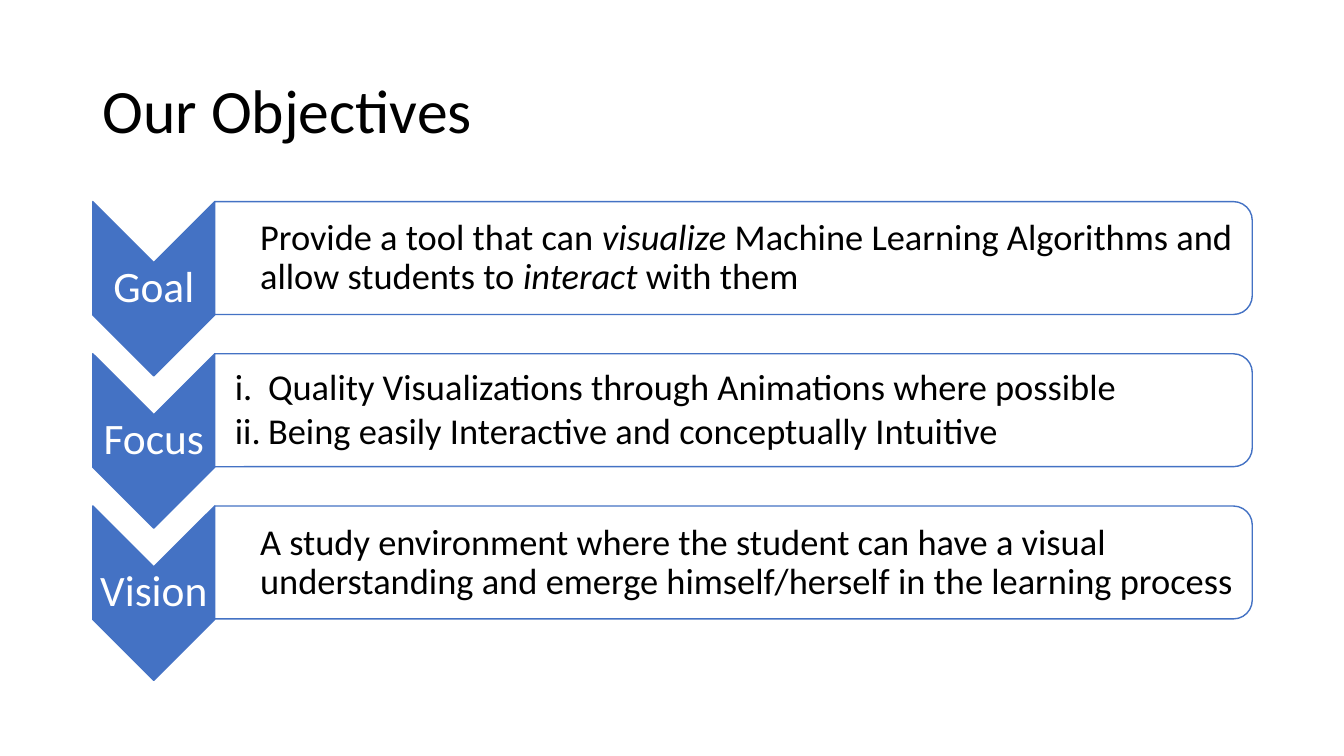
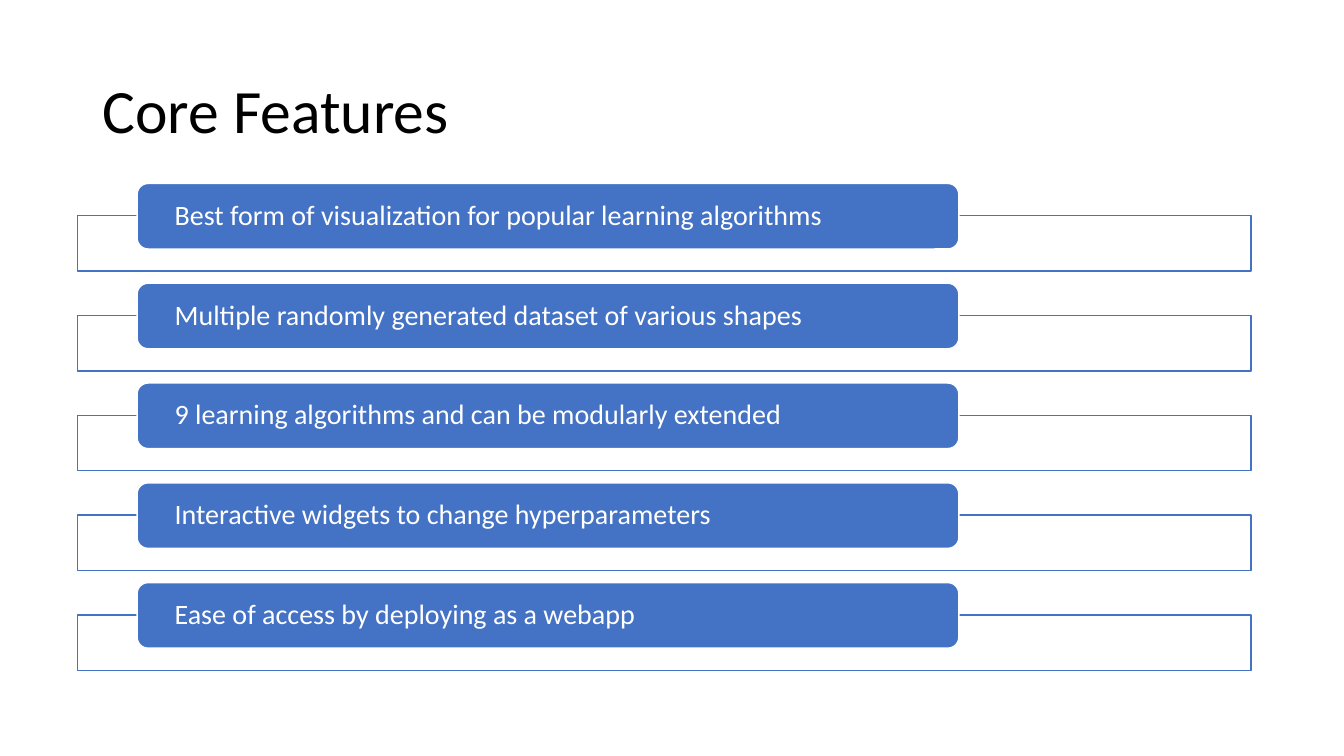
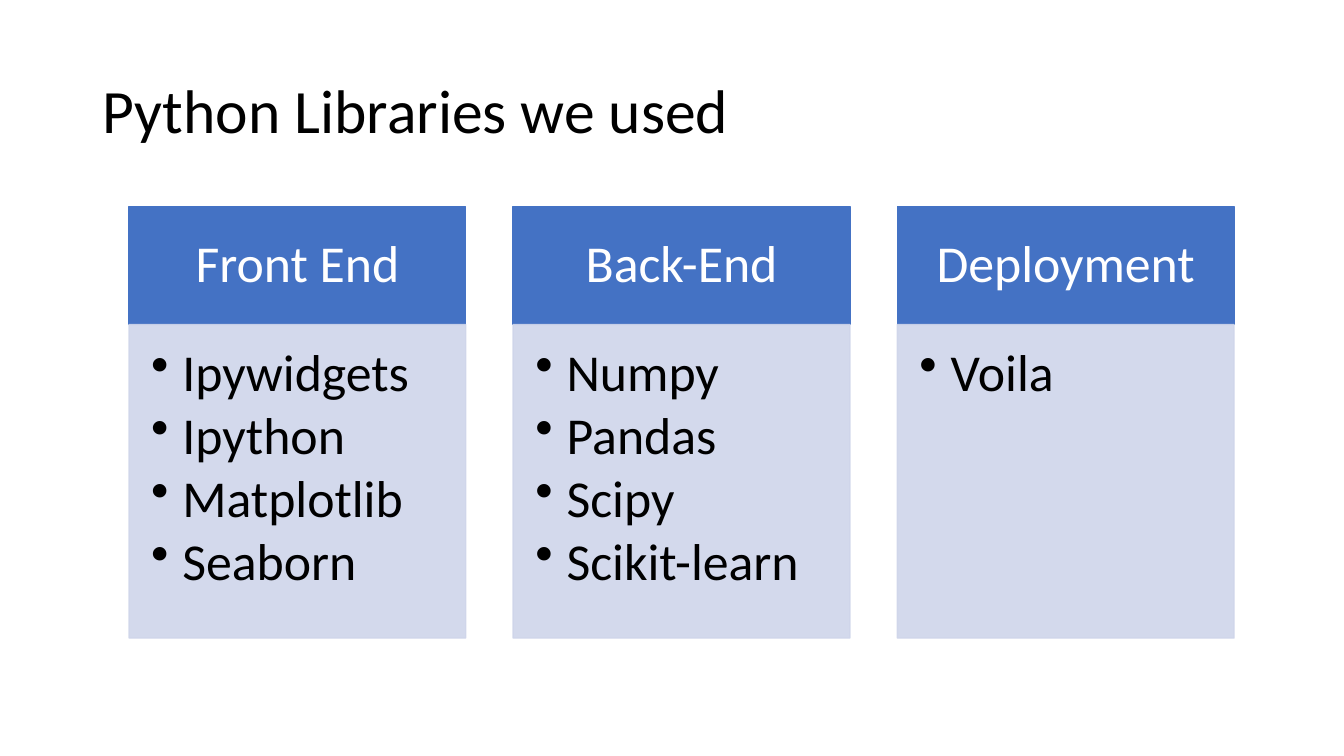
from dataclasses import dataclass

from lxml import etree
from pptx import Presentation
from pptx.dml.color import RGBColor
from pptx.enum.shapes import MSO_SHAPE
from pptx.enum.text import MSO_ANCHOR, PP_ALIGN
from pptx.oxml.ns import qn
from pptx.shapes.autoshape import Shape
from pptx.slide import Slide
from pptx.util import Inches, Pt

CHEVRON = MSO_SHAPE.CHEVRON
TAB_CARD = MSO_SHAPE.ROUND_2_SAME_RECTANGLE
RECTANGLE = MSO_SHAPE.RECTANGLE
ROUNDED = MSO_SHAPE.ROUNDED_RECTANGLE
TOP, MIDDLE = MSO_ANCHOR.TOP, MSO_ANCHOR.MIDDLE
LEFT, CENTER = PP_ALIGN.LEFT, PP_ALIGN.CENTER

FONT = "Calibri"
BLUE, PALE, WHITE, BLACK = "4472C4", "CFD5EA", "FFFFFF", "000000"


@dataclass(frozen=True)
class Box:
    left: float
    top: float
    width: float
    height: float


@dataclass(frozen=True)
class Span:
    text: str
    italic: bool = False


@dataclass(frozen=True)
class TextStyle:
    size: float
    color: str = BLACK
    align: PP_ALIGN = LEFT
    anchor: MSO_ANCHOR = MIDDLE
    margins: tuple[float, float, float, float] = (0.1, 0.05, 0.1, 0.05)
    indent: float = 0
    bullet: tuple[str, str, str] | None = None  # tag, attribute, value
    space_after: float = 0


@dataclass(frozen=True)
class Objective:
    label: str
    paragraphs: list[list[Span]]
    style: TextStyle


@dataclass(frozen=True)
class LibraryGroup:
    heading: str
    libraries: list[str]


TITLE = TextStyle(44)
LABEL = TextStyle(31, WHITE, CENTER, margins=(0.02,) * 4)
STATEMENT = TextStyle(26, margins=(0.2, 0.02, 0.02, 0.02), indent=0.25)
NUMBERED = TextStyle(26, margins=(0.2, 0.02, 0.02, 0.02), indent=0.33,
                     bullet=("a:buAutoNum", "type", "romanLcPeriod"), space_after=4)
FEATURE = TextStyle(20, WHITE, margins=(0.34, 0, 0.34, 0))
HEADING = TextStyle(37, WHITE, CENTER, margins=(0.29, 0.16, 0.29, 0.16))
LIBRARY = TextStyle(37, anchor=TOP, margins=(0.22, 0.22, 0.29, 0.32), indent=0.31,
                    bullet=("a:buChar", "char", "•"), space_after=5)

OBJECTIVES = [
    Objective("Goal", [[
        Span("Provide a tool that can "),
        Span("visualize ", italic=True),
        Span("Machine Learning Algorithms and allow students to "),
        Span("interact", italic=True),
        Span(" with them"),
    ]], STATEMENT),
    Objective("Focus", [
        [Span("Quality Visualizations through Animations where possible")],
        [Span("Being easily Interactive and conceptually Intuitive")],
    ], NUMBERED),
    Objective("Vision", [[
        Span("A study environment where the student can have a visual understanding "
             "and emerge himself/herself in the learning process"),
    ]], STATEMENT),
]
FEATURES = [
    "Best form of visualization for popular learning algorithms",
    "Multiple randomly generated dataset of various shapes",
    "9 learning algorithms and can be modularly extended",
    "Interactive widgets to change hyperparameters",
    "Ease of access by deploying as a webapp",
]
LIBRARY_GROUPS = [
    LibraryGroup("Front End", ["Ipywidgets", "Ipython", "Matplotlib", "Seaborn"]),
    LibraryGroup("Back-End", ["Numpy", "Pandas", "Scipy", "Scikit-learn"]),
    LibraryGroup("Deployment", ["Voila"]),
]


def rgb(color: str) -> RGBColor:
    return RGBColor.from_string(color)


def place(box: Box) -> tuple[int, int, int, int]:
    return Inches(box.left), Inches(box.top), Inches(box.width), Inches(box.height)


def write(shape: Shape, paragraphs: list[list[Span]], style: TextStyle) -> None:
    frame = shape.text_frame
    frame.word_wrap = True
    frame.vertical_anchor = style.anchor
    (frame.margin_left, frame.margin_top,
     frame.margin_right, frame.margin_bottom) = map(Inches, style.margins)
    for index, spans in enumerate(paragraphs):
        paragraph = frame.add_paragraph() if index else frame.paragraphs[0]
        properties = paragraph._p.get_or_add_pPr()
        if style.indent:
            properties.set("marL", str(Inches(style.indent)))
        if style.bullet:
            tag, attribute, value = style.bullet
            properties.set("indent", str(-Inches(style.indent)))
            etree.SubElement(properties, qn(tag)).set(attribute, value)
        paragraph.alignment = style.align
        paragraph.line_spacing = 0.9
        paragraph.space_after = Pt(style.space_after)
        paragraph.font.name = FONT
        paragraph.font.size = Pt(style.size)
        paragraph.font.color.rgb = rgb(style.color)
        for span in spans:
            run = paragraph.add_run()
            run.text = span.text
            if span.italic:
                run.font.italic = True


def add_text(slide: Slide, box: Box, paragraphs: list[list[Span]], style: TextStyle) -> None:
    write(slide.shapes.add_textbox(*place(box)), paragraphs, style)


def add_block(slide: Slide, kind: MSO_SHAPE, box: Box, fill: str, line: str) -> Shape:
    shape = slide.shapes.add_shape(kind, *place(box))
    shape.shadow.inherit = False
    shape.fill.solid()
    shape.fill.fore_color.rgb = rgb(fill)
    shape.line.color.rgb = rgb(line)
    shape.line.width = Pt(1)
    return shape


def add_turned_block(slide: Slide, kind: MSO_SHAPE, seen: Box, fill: str) -> None:
    """Add a shape turned a quarter clockwise so that it fills the box as seen."""
    shift = (seen.width - seen.height) / 2
    unturned = Box(seen.left + shift, seen.top - shift, seen.height, seen.width)
    add_block(slide, kind, unturned, fill, BLUE).rotation = 90


def set_opacity(shape: Shape, percent: int) -> None:
    for color in shape._element.spPr.iter(qn("a:srgbClr")):
        etree.SubElement(color, qn("a:alpha")).set("val", str(percent * 1000))


def add_titled_slide(presentation: Presentation, title: str) -> Slide:
    slide = presentation.slides.add_slide(presentation.slide_layouts[6])
    add_text(slide, Box(0.92, 0.4, 11.5, 1.45), [[Span(title)]], TITLE)
    return slide


def build_objectives(presentation: Presentation) -> None:
    slide = add_titled_slide(presentation, "Our Objectives")
    for row, objective in enumerate(OBJECTIVES):
        top = 2 + row * 1.51
        add_turned_block(slide, CHEVRON, Box(0.92, top, 1.21, 1.73), BLUE)
        add_text(slide, Box(0.92, top + 0.6, 1.21, 0.52), [[Span(objective.label)]], LABEL)
        add_turned_block(slide, TAB_CARD, Box(2.13, top, 10.29, 1.12), WHITE)
        add_text(slide, Box(2.13, top + 0.06, 10.24, 1.01),
                 objective.paragraphs, objective.style)


def build_features(presentation: Presentation) -> None:
    slide = add_titled_slide(presentation, "Core Features")
    for row, feature in enumerate(FEATURES):
        top = 1.82 + row * 0.99
        add_block(slide, RECTANGLE, Box(0.77, top + 0.32, 11.64, 0.55), WHITE, BLUE)
        banner = add_block(slide, ROUNDED, Box(1.36, top, 8.15, 0.65), BLUE, WHITE)
        write(banner, [[Span(feature)]], FEATURE)


def build_libraries(presentation: Presentation) -> None:
    slide = add_titled_slide(presentation, "Python Libraries we used")
    for column, group in enumerate(LIBRARY_GROUPS):
        left = 1.28 + column * 3.81
        header = add_block(slide, RECTANGLE, Box(left, 2.05, 3.34, 1.17), BLUE, BLUE)
        write(header, [[Span(group.heading)]], HEADING)
        body = add_block(slide, RECTANGLE, Box(left, 3.22, 3.34, 3.11), PALE, PALE)
        set_opacity(body, 90)
        write(body, [[Span(library)] for library in group.libraries], LIBRARY)


def main() -> None:
    presentation = Presentation()
    presentation.slide_width = Inches(13.33)
    presentation.slide_height = Inches(7.5)
    build_objectives(presentation)
    build_features(presentation)
    build_libraries(presentation)
    presentation.save("out.pptx")


if __name__ == "__main__":
    main()
